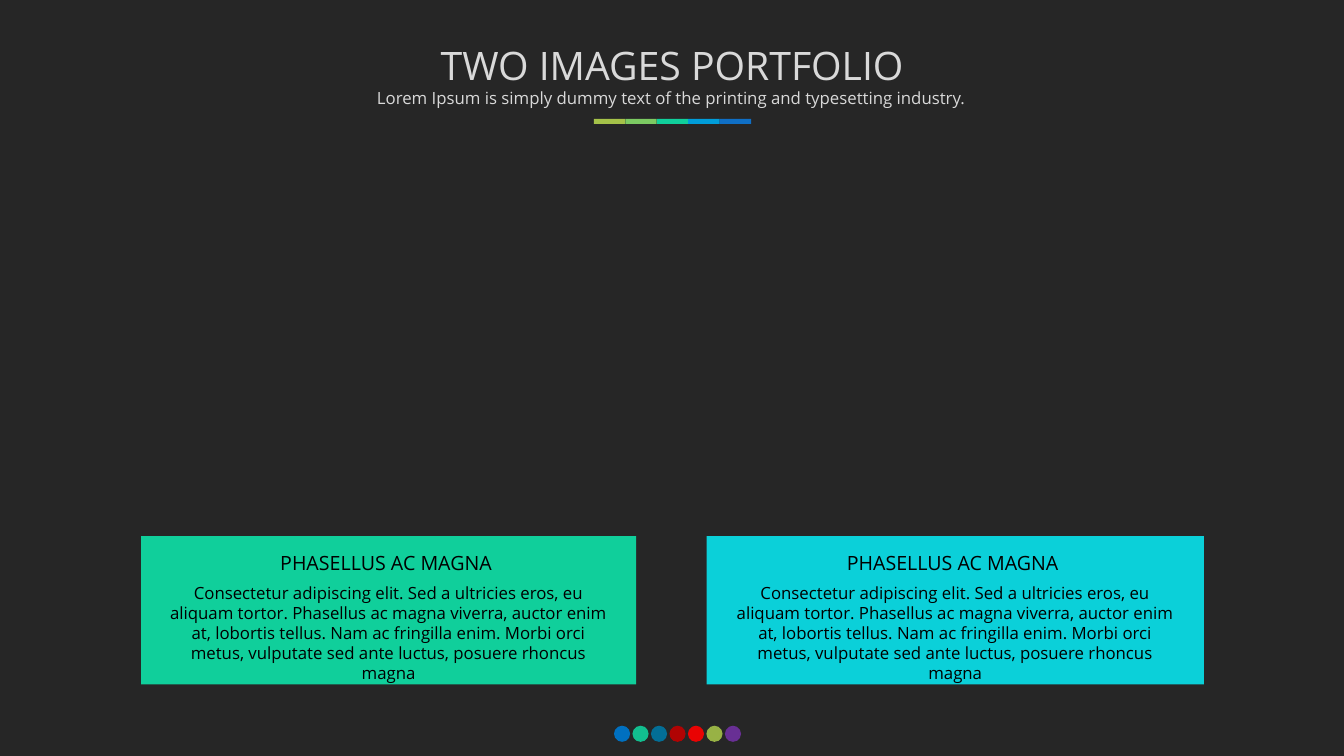
from lxml import etree
from pptx import Presentation
from pptx.dml.color import RGBColor
from pptx.enum.shapes import MSO_SHAPE
from pptx.enum.text import MSO_ANCHOR, MSO_AUTO_SIZE, PP_ALIGN
from pptx.oxml.ns import qn
from pptx.util import Inches, Pt

RECT, OVAL = MSO_SHAPE.RECTANGLE, MSO_SHAPE.OVAL
TOP, MIDDLE = MSO_ANCHOR.TOP, MSO_ANCHOR.MIDDLE
GROW, FIXED = MSO_AUTO_SIZE.SHAPE_TO_FIT_TEXT, MSO_AUTO_SIZE.NONE
CENTER = PP_ALIGN.CENTER

BACKGROUND = RGBColor(0x26, 0x26, 0x26)
LIGHT = RGBColor(0xD9, 0xD9, 0xD9)
BLACK = RGBColor(0x00, 0x00, 0x00)
BLUE = RGBColor(0x0F, 0x6F, 0xC6)
SKY = RGBColor(0x00, 0x9D, 0xD9)
CYAN = RGBColor(0x0B, 0xD0, 0xD9)
MINT = RGBColor(0x10, 0xCF, 0x9B)
GREEN = RGBColor(0x7C, 0xCA, 0x62)
OLIVE = RGBColor(0xA5, 0xC2, 0x49)
AZURE = RGBColor(0x00, 0x70, 0xC0)
TEAL = RGBColor(0x00, 0x76, 0xA3)
DARK_RED = RGBColor(0xC0, 0x00, 0x00)
RED = RGBColor(0xFF, 0x00, 0x00)
PURPLE = RGBColor(0x70, 0x30, 0xA0)

TITLE = "TWO IMAGES PORTFOLIO"
SUBTITLE = "Lorem Ipsum is simply dummy text of the printing and typesetting industry."
HEADING = "PHASELLUS AC MAGNA "
BODY = (
    "Consectetur adipiscing elit. Sed a ultricies eros, eu aliquam tortor. "
    "Phasellus ac magna viverra, auctor enim at, lobortis tellus. "
    "Nam ac fringilla enim. Morbi orci metus, vulputate sed ante luctus, "
    "posuere rhoncus magna"
)
CARDS = [  # left, width, fill, heading, body
    (1.4, 4.91, MINT, HEADING, BODY),
    (7.01, 4.93, CYAN, HEADING, BODY),
]
BAR_COLORS = [OLIVE, GREEN, MINT, SKY, BLUE]
DOTS = [  # fill, opacity in percent
    (AZURE, 100), (MINT, 90), (TEAL, 90), (DARK_RED, 90),
    (RED, 90), (OLIVE, 90), (PURPLE, 90),
]

WIDTH, HEIGHT = 13.33, 7.5
CARD_TOP, CARD_HEIGHT = 5.32, 1.47
BODY_WIDTH = 4.56
BAR_LEFT, BAR_TOP, BAR_SPAN, BAR_HEIGHT = 5.89, 1.18, 1.56, 0.05
DOT_LEFT, DOT_TOP, DOT_SPAN, DOT_SIZE = 6.09, 7.2, 1.1, 0.16

prs = Presentation()
prs.slide_width, prs.slide_height = Inches(WIDTH), Inches(HEIGHT)
s = prs.slides.add_slide(prs.slide_layouts[6])
s.background.fill.solid()
s.background.fill.fore_color.rgb = BACKGROUND


def add_block(kind, left, top, width, height, color, opacity=100):
    sp = s.shapes.add_shape(kind, *map(Inches, (left, top, width, height)))
    sp.shadow.inherit = False
    sp.line.fill.background()
    sp.fill.solid()
    sp.fill.fore_color.rgb = color
    if opacity < 100:
        clr = sp._element.spPr.find(qn("a:solidFill"))[0]
        etree.SubElement(clr, qn("a:alpha"), val=str(opacity * 1000))


def add_text(text, left, top, width, height, size, color,
             anchor=TOP, auto_size=GROW):
    tf = s.shapes.add_textbox(*map(Inches, (left, top, width, height))).text_frame
    for name, value in {"word_wrap": True, "auto_size": auto_size,
                        "vertical_anchor": anchor}.items():
        setattr(tf, name, value)
    p = tf.paragraphs[0]
    p.alignment = CENTER
    r = p.add_run()
    r.text = text
    for name, value in {"name": "Open Sans", "size": Pt(size)}.items():
        setattr(r.font, name, value)
    r.font.color.rgb = color


dot_step = DOT_SPAN / (len(DOTS) - 1)
for i, (color, opacity) in enumerate(DOTS):
    add_block(OVAL, DOT_LEFT + i * dot_step, DOT_TOP, DOT_SIZE, DOT_SIZE,
              color, opacity)

add_text(TITLE, 2.71, 0.4, 7.91, 0.49, 28, LIGHT, MIDDLE, FIXED)
add_text(SUBTITLE, 3.29, 0.82, 6.74, 0.3, 12, LIGHT)

bar_width = BAR_SPAN / len(BAR_COLORS)
for i, color in enumerate(BAR_COLORS):
    add_block(RECT, BAR_LEFT + i * bar_width, BAR_TOP, bar_width, BAR_HEIGHT, color)

for left, width, color, heading, body in CARDS:
    add_block(RECT, left, CARD_TOP, width, CARD_HEIGHT, color)
    body_left = left + (width - BODY_WIDTH) / 2
    add_text(body, body_left, CARD_TOP + 0.41, BODY_WIDTH, 0.91, 12, BLACK)
    add_text(heading, left, CARD_TOP + 0.1, width, 0.34, 14, BLACK)

prs.save("out.pptx")
